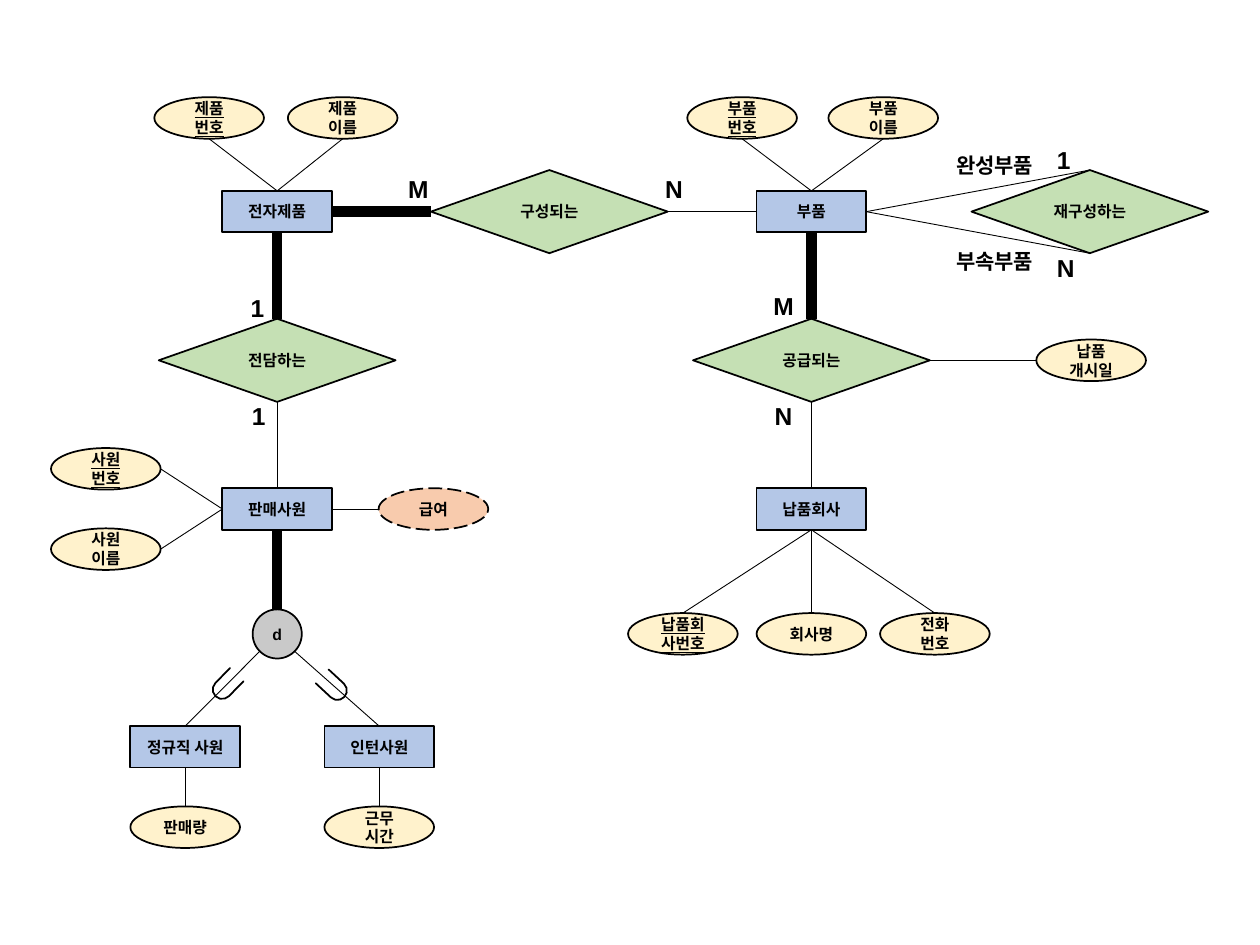
from lxml import etree
from pptx import Presentation
from pptx.dml.color import RGBColor
from pptx.enum import dml, shapes, text
from pptx.oxml import ns
from pptx import util as u

# Content: (words, kind, branch, columns from the branch axis, row); "|" starts a new paragraph.
NODES = [
    ("전자제품", "entity", "sales", 0, 0),
    ("제품|번호", "key", "sales", -0.54, -0.63),
    ("제품|이름", "attribute", "sales", 0.52, -0.63),
    ("구성되는", "relation", "sales", 2.16, 0),
    ("전담하는", "relation", "sales", 0, 1),
    ("판매사원", "entity", "sales", 0, 2),
    ("사원|번호", "key", "sales", -1.36, 1.73),
    ("사원|이름", "attribute", "sales", -1.36, 2.27),
    ("급여", "derived", "sales", 1.24, 2),
    ("d", "disjoint", "sales", 0, 2.84),
    ("정규직 사원", "entity", "sales", -0.73, 3.6),
    ("인턴사원", "entity", "sales", 0.81, 3.6),
    ("판매량", "attribute", "sales", -0.73, 4.14),
    ("근무|시간", "attribute", "sales", 0.81, 4.14),
    ("부품", "entity", "supply", 0, 0),
    ("부품|번호", "key", "supply", -0.55, -0.63),
    ("부품|이름", "attribute", "supply", 0.57, -0.63),
    ("재구성하는", "relation", "supply", 2.21, 0),
    ("공급되는", "relation", "supply", 0, 1),
    ("납품|개시일", "attribute", "supply", 2.22, 1),
    ("납품회사", "entity", "supply", 0, 2),
    ("납품회사번호", "key", "supply", -1.02, 2.84),
    ("회사명", "attribute", "supply", 0, 2.84),
    ("전화|번호", "attribute", "supply", 0.98, 2.84),
]

# (node, side, node, side, weight)
LINKS = [
    ("제품|번호", "S", "전자제품", "N", "thin"),
    ("제품|이름", "S", "전자제품", "N", "thin"),
    ("전자제품", "E", "구성되는", "W", "total"),
    ("구성되는", "E", "부품", "W", "thin"),
    ("전자제품", "S", "전담하는", "N", "total"),
    ("전담하는", "S", "판매사원", "N", "thin"),
    ("사원|번호", "E", "판매사원", "W", "thin"),
    ("사원|이름", "E", "판매사원", "W", "thin"),
    ("판매사원", "E", "급여", "W", "thin"),
    ("판매사원", "S", "d", "N", "total"),
    ("d", "SW", "정규직 사원", "N", "thin"),
    ("d", "SE", "인턴사원", "N", "thin"),
    ("정규직 사원", "S", "판매량", "N", "thin"),
    ("인턴사원", "S", "근무|시간", "N", "thin"),
    ("부품|번호", "S", "부품", "N", "thin"),
    ("부품|이름", "S", "부품", "N", "thin"),
    ("부품", "E", "재구성하는", "N", "thin"),
    ("부품", "E", "재구성하는", "S", "thin"),
    ("부품", "S", "공급되는", "N", "total"),
    ("공급되는", "E", "납품|개시일", "W", "thin"),
    ("공급되는", "S", "납품회사", "N", "thin"),
    ("납품회사", "S", "납품회사번호", "N", "thin"),
    ("납품회사", "S", "회사명", "N", "thin"),
    ("납품회사", "S", "전화|번호", "N", "thin"),
]

# (words, style, left, top)
LABELS = [
    ("M", "count", 3.14, 1.33), ("N", "count", 5.18, 1.33),
    ("1", "count", 1.89, 2.28), ("1", "count", 1.9, 3.13),
    ("M", "count", 6.04, 2.26), ("N", "count", 6.05, 3.13),
    ("1", "count", 8.29, 1.1), ("N", "count", 8.29, 1.96),
    ("완성부품", "role", 7.49, 1.16), ("부속부품", "role", 7.49, 1.92),
]

# Subset marks: (left, top, rotation)
SUBSETS = [(1.72, 5.32, 224.5), (2.57, 5.33, 132.9)]

THEME = {
    "ink": "000000", "mark": "4472C4", "outline": 1,
    "weights": {"thin": 0.5, "total": 6},
    "node_size": 9, "node_font": "Calibri", "latin_font": "Arial",
}
BOX = (0.87, 0.33)
OVAL = shapes.MSO_SHAPE.OVAL
KINDS = {  # preset, (width, height), fill
    "entity": (shapes.MSO_SHAPE.RECTANGLE, BOX, "B4C7E7"),
    "attribute": (OVAL, BOX, "FFF2CC"),
    "key": (OVAL, BOX, "FFF2CC"),
    "derived": (OVAL, BOX, "F8CBAD"),
    "relation": (shapes.MSO_SHAPE.DIAMOND, (1.88, 0.66), "C5E0B4"),
    "disjoint": (OVAL, (0.39, 0.39), "C9C9C9"),
}
LABEL_STYLES = {"count": (14, 0.22, 0.34), "role": (12, 0.87, 0.3)}  # size, width, height
BRANCHES = {"sales": 2.2, "supply": 6.44}
FIRST_ROW, ROW_STEP = 1.68, 1.18
SIDES = {"N": (0, -0.5), "S": (0, 0.5), "W": (-0.5, 0), "E": (0.5, 0),
         "SW": (-0.35, 0.35), "SE": (0.35, 0.35)}


def centre(branch, column, row):
    """Return the centre of a grid place in inches."""
    return BRANCHES[branch] + column, FIRST_ROW + ROW_STEP * row


def write(frame, words, *, size, font, align=None, underline=None):
    """Fill a text frame with bold paragraphs, one for each part of the words."""
    frame.word_wrap = True
    for index, part in enumerate(words.split("|")):
        line = frame.add_paragraph() if index else frame.paragraphs[0]
        line.alignment = align
        run = line.add_run()
        run.text = part
        run.font.size, run.font.name = u.Pt(size), font
        run.font.bold, run.font.underline = True, underline
        run.font.color.rgb = RGBColor.from_string(THEME["ink"])


def draw_outlined(slide, preset, left, top, size, fill):
    """Add a filled preset shape with the common outline."""
    shape = slide.shapes.add_shape(preset, *map(u.Inches, (left, top, *size)))
    shape.shadow.inherit = False
    shape.fill.solid()
    shape.fill.fore_color.rgb = RGBColor.from_string(fill)
    shape.line.color.rgb = RGBColor.from_string(THEME["ink"])
    shape.line.width = u.Pt(THEME["outline"])
    return shape


def draw_node(slide, words, kind, branch, column, row):
    """Add an entity, attribute, relation or disjoint node."""
    preset, (width, height), fill = KINDS[kind]
    x, y = centre(branch, column, row)
    node = draw_outlined(slide, preset, x - width / 2, y - height / 2, (width, height), fill)
    if kind == "derived":
        node.line.dash_style = dml.MSO_LINE.LONG_DASH
    node.text_frame.vertical_anchor = text.MSO_ANCHOR.MIDDLE
    write(node.text_frame, words, size=THEME["node_size"], align=text.PP_ALIGN.CENTER,
          font=THEME["latin_font" if kind == "disjoint" else "node_font"],
          underline=True if kind == "key" else None)


def link_end(words, side):
    """Return the point in the middle of a node's side."""
    kind, *place = next(node[1:] for node in NODES if node[0] == words)
    return [u.Inches(c + share * length)
            for c, share, length in zip(centre(*place), SIDES[side], KINDS[kind][1])]


def draw_link(slide, start, start_side, end, end_side, weight):
    """Join two nodes with a straight line."""
    link = slide.shapes.add_connector(shapes.MSO_CONNECTOR.STRAIGHT,
                                      *link_end(start, start_side), *link_end(end, end_side))
    link.line.color.rgb = RGBColor.from_string(THEME["ink"])
    link.line.width = u.Pt(THEME["weights"][weight])
    etree.SubElement(link._element.spPr, ns.qn("a:effectLst"))


def draw_label(slide, words, style, left, top):
    """Add a cardinality or role label."""
    size, width, height = LABEL_STYLES[style]
    label = slide.shapes.add_textbox(*map(u.Inches, (left, top, width, height)))
    write(label.text_frame, words, size=size, font=THEME["latin_font"])
    label.text_frame.auto_size = text.MSO_AUTO_SIZE.SHAPE_TO_FIT_TEXT


def draw_subset(slide, left, top, rotation):
    """Add a turned U-shaped subset mark."""
    mark = draw_outlined(slide, shapes.MSO_SHAPE.U_TURN_ARROW, left, top, (0.15, 0.24),
                         THEME["mark"])
    for index, value in enumerate((0, 0, 0, 0.5, 1)):
        mark.adjustments[index] = value
    mark.rotation = rotation


def main():
    """Build and save the entity-relationship slide."""
    deck = Presentation()
    deck.slide_width, deck.slide_height = u.Inches(10), u.Inches(7.5)
    slide = deck.slides.add_slide(deck.slide_layouts[6])
    for draw, items in ((draw_link, LINKS), (draw_node, NODES),
                        (draw_label, LABELS), (draw_subset, SUBSETS)):
        for item in items:
            draw(slide, *item)
    deck.save("out.pptx")


main()
